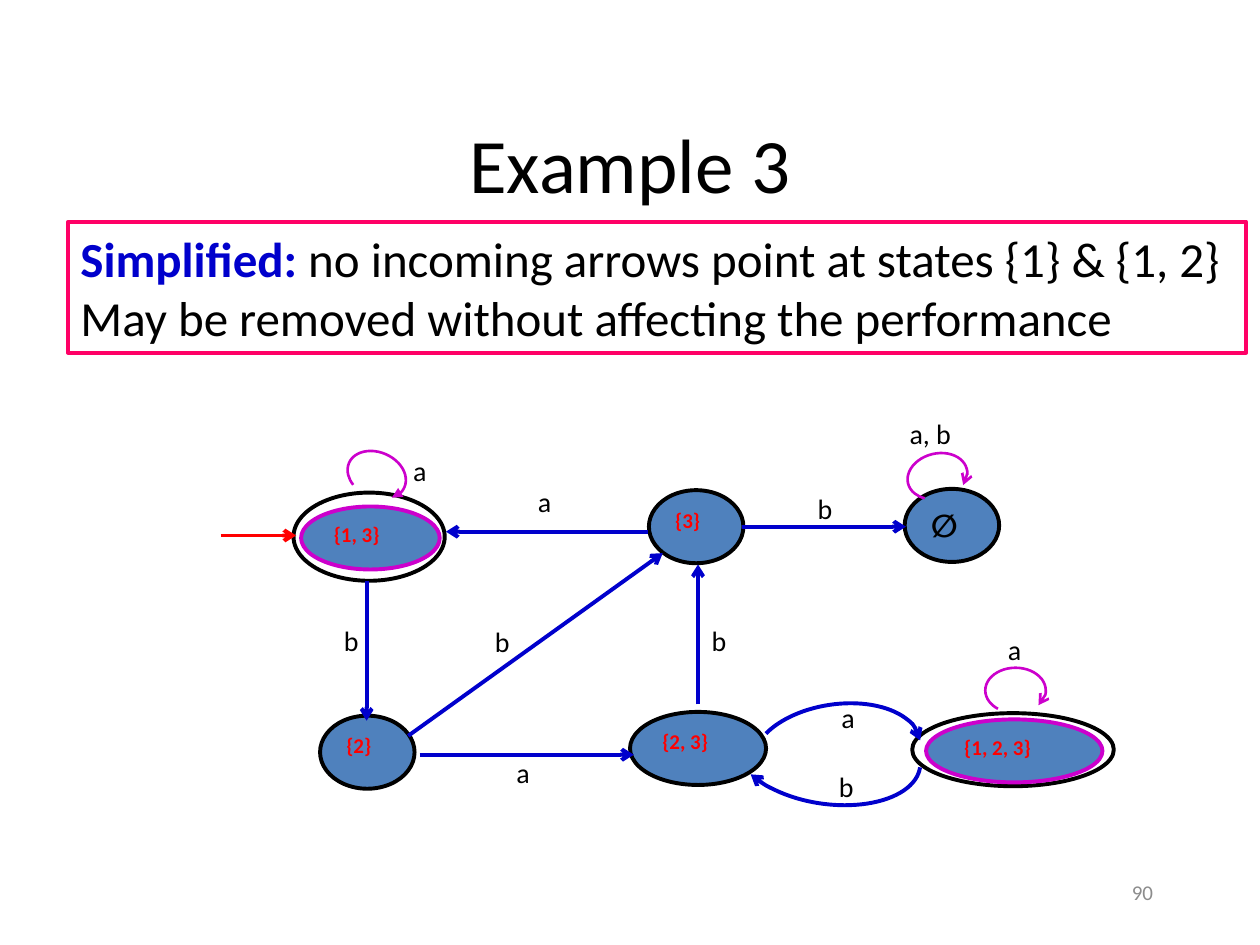
from dataclasses import dataclass

from pptx import Presentation
from pptx.dml.color import RGBColor
from pptx.enum.shapes import MSO_CONNECTOR, MSO_SHAPE
from pptx.enum.text import MSO_ANCHOR, MSO_AUTO_SIZE, PP_ALIGN
from pptx.oxml.xmlchemy import OxmlElement
from pptx.util import Emu, Pt

OVAL, ARC, RECT = MSO_SHAPE.OVAL, MSO_SHAPE.ARC, MSO_SHAPE.RECTANGLE
LINE = MSO_CONNECTOR.STRAIGHT
TOP, MIDDLE = MSO_ANCHOR.TOP, MSO_ANCHOR.MIDDLE
LEFT, CENTER, RIGHT = PP_ALIGN.LEFT, PP_ALIGN.CENTER, PP_ALIGN.RIGHT
GROW = MSO_AUTO_SIZE.SHAPE_TO_FIT_TEXT
SCALE = 9144
TITLE_ONLY = 5


@dataclass(frozen=True)
class Theme:
    font: str = "Calibri"
    black: str = "000000"
    gray: str = "8C8C8C"
    red: str = "FF0000"
    blue: str = "0000CC"
    pink: str = "FF0066"
    purple: str = "CC00CC"
    fill: str = "4F81BD"
    head: int = 44
    lead: int = 28
    empty: int = 18
    label: int = 16
    small: int = 12
    thick: float = 2.25
    thin: float = 1.5


def px(*nums):
    return [Emu(num * SCALE) for num in nums]


class Page:
    def __init__(self, deck, theme):
        self.theme = theme
        self.slide = deck.slides.add_slide(deck.slide_layouts[TITLE_ONLY])
        self.shapes = self.slide.shapes

    def style(self, para, size, color, bold=False, align=LEFT):
        para.alignment = align
        font = para.font
        font.name, font.size, font.bold = self.theme.font, Pt(size), bold
        font.color.rgb = RGBColor.from_string(color)

    def stroke(self, shape, color, width):
        shape.line.color.rgb = RGBColor.from_string(color)
        shape.line.width = Pt(width)

    def tip(self, shape, kind="arrow"):
        end = OxmlElement("a:tailEnd")
        end.set("type", kind)
        shape.element.spPr.ln.append(end)

    def title(self, text, box):
        shape = self.shapes.title
        shape.left, shape.top, shape.width, shape.height = px(*box)
        shape.text_frame.text = text
        shape.text_frame.vertical_anchor = MIDDLE
        self.style(shape.text_frame.paragraphs[0], self.theme.head,
                   self.theme.black, align=CENTER)

    def text(self, text, box, size, color, align=LEFT, anchor=TOP, wrap=False):
        frame = self.shapes.add_textbox(*px(*box)).text_frame
        frame.text = text
        frame.word_wrap = wrap
        frame.vertical_anchor = anchor
        self.style(frame.paragraphs[0], size, color, align=align)
        return frame

    def label(self, text, left, top, width=32):
        frame = self.text(text, (left, top, width, 37),
                          self.theme.label, self.theme.black)
        frame.auto_size = GROW

    def shape(self, kind, box, color, width, fill=None):
        shape = self.shapes.add_shape(kind, *px(*box))
        shape.shadow.inherit = False
        if fill:
            shape.fill.solid()
            shape.fill.fore_color.rgb = RGBColor.from_string(fill)
        else:
            shape.fill.background()
        self.stroke(shape, color, width)
        return shape

    def state(self, text, box, ring=None, size=None, ink=None):
        theme = self.theme
        if ring:
            self.shape(OVAL, ring, theme.black, theme.thick)
        edge = theme.purple if ring else theme.black
        shape = self.shape(OVAL, box, edge, theme.thick, theme.fill)
        frame = shape.text_frame
        frame.text = text
        frame.vertical_anchor = TOP
        self.style(frame.paragraphs[0], size or theme.small,
                   ink or theme.red, bold=True)

    def arc(self, box, turn, sweep, color, width, kind="arrow"):
        shape = self.shape(ARC, box, color, width)
        shape.rotation = turn
        for spot, value in enumerate(sweep):
            shape.adjustments[spot] = value
        self.tip(shape, kind)

    def loop(self, left, top, turn=0, kind="arrow"):
        self.arc((left, top, 48, 36), turn, (80.22, 19.68),
                 self.theme.purple, self.theme.thin, kind)

    def arrow(self, start, end, color=None):
        wire = self.shapes.add_connector(LINE, *px(*start, *end))
        self.stroke(wire, color or self.theme.blue, self.theme.thick)
        self.tip(wire)
        wire.element.spPr.append(OxmlElement("a:effectLst"))

    def banner(self, lines, box):
        theme = self.theme
        frame = self.shape(RECT, box, theme.pink, theme.thick).text_frame
        frame.word_wrap = False
        frame.auto_size = GROW
        for spot, parts in enumerate(lines):
            para = frame.add_paragraph() if spot else frame.paragraphs[0]
            self.style(para, theme.lead, theme.black)
            for text, strong in parts:
                run = para.add_run()
                run.text = text
                if strong:
                    run.font.bold = True
                    run.font.color.rgb = RGBColor.from_string(theme.blue)


def main():
    theme = Theme()
    deck = Presentation()
    deck.slide_width, deck.slide_height = px(1000, 750)
    page = Page(deck, theme)
    page.title("Example 3", (75, 67, 850, 125))
    page.text("90", (717, 683, 208, 50), theme.small, theme.gray,
              RIGHT, MIDDLE, True)

    page.state("{3}", (515, 389, 75, 58))
    page.state("{2, 3}", (500, 565, 108, 58))
    page.state("{2}", (254, 568, 75, 58))
    page.state("∅", (718, 388, 75, 58), size=theme.empty, ink=theme.black)
    page.state("{1, 2, 3}", (735, 571, 140, 50), ring=(724, 566, 160, 58))
    page.state("{1, 3}", (239, 402, 110, 50), ring=(233, 391, 120, 70))

    page.loop(720, 360, 346.1)
    page.loop(782, 530)
    page.loop(275, 359, 23.6, "triangle")
    page.arc((597, 559, 134, 77), 351.5, (122.26, 0), theme.blue, theme.thick)
    page.arc((582, 558, 149, 80), 8.5, (0, 93.74), theme.blue, theme.thick)

    for start, end in [
        ((514, 422), (354, 422)),
        ((589, 418), (719, 418)),
        ((333, 599), (503, 599)),
        ((324, 584), (526, 439)),
        ((291, 461), (291, 572)),
        ((554, 559), (554, 448)),
    ]:
        page.arrow(start, end)
    page.arrow((175, 425), (235, 425), theme.red)

    page.label("a, b", 712, 326, 58)
    for text, spots in {
        "a": [(417, 380), (400, 595), (318, 355), (790, 497), (658, 551)],
        "b": [(639, 385), (383, 491), (555, 490), (656, 606), (263, 490)],
    }.items():
        for left, top in spots:
            page.label(text, left, top)

    page.banner([
        [("Simplified:", True),
         (" no incoming arrows point at states {1} & {1, 2}", False)],
        [("May be removed without affecting the performance", False)],
    ], (54, 176, 935, 104))
    deck.save("out.pptx")


if __name__ == "__main__":
    main()
